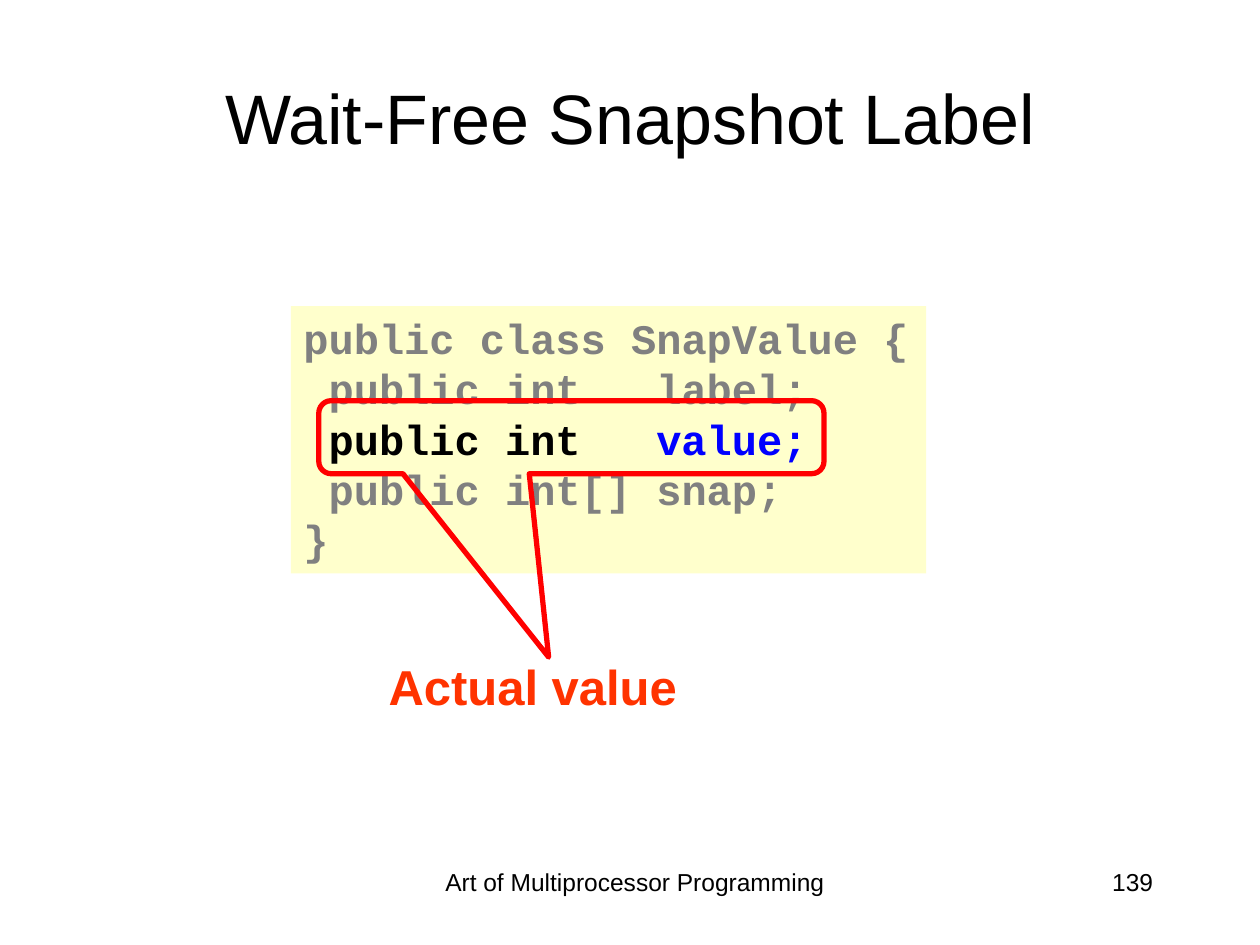
from pptx import Presentation
from pptx.dml.color import RGBColor
from pptx.enum.shapes import MSO_SHAPE
from pptx.enum.text import MSO_ANCHOR, PP_ALIGN
from pptx.util import Inches, Pt


def color(value):
    return RGBColor.from_string(value)


def add_run(paragraph, text, name, size, bold, font_color):
    run = paragraph.add_run()
    run.text = text
    font_format = {"name": name, "size": Pt(size), "bold": bold}
    for attribute, value in font_format.items():
        setattr(run.font, attribute, value)
    run.font.color.rgb = color(font_color)


presentation = Presentation()
presentation.slide_width = Inches(10)
presentation.slide_height = Inches(7.5)
slide = presentation.slides.add_slide(presentation.slide_layouts[6])

code_box = slide.shapes.add_shape(
    MSO_SHAPE.RECTANGLE, Inches(2.31), Inches(2.43), Inches(5.04), Inches(2.12)
)
code_box.shadow.inherit = False
code_box.fill.solid()
code_box.fill.fore_color.rgb = color("FFFFCC")
code_box.line.fill.background()
code_box.text_frame.word_wrap = False
code_box.text_frame.vertical_anchor = MSO_ANCHOR.TOP

GRAY, BLACK, BLUE = "808080", "000000", "0000FF"
code_lines = [
    [("public class SnapValue {", GRAY)],
    [(" public int   label;", GRAY)],
    [(" public int", BLACK), ("   value;", BLUE)],
    [(" public int[] snap;", GRAY)],
    [("}", GRAY)],
]
for index, code_line in enumerate(code_lines):
    frame = code_box.text_frame
    paragraph = frame.add_paragraph() if index else frame.paragraphs[0]
    paragraph.alignment = PP_ALIGN.LEFT
    for text, font_color in code_line:
        add_run(paragraph, text, "Courier New", 24, True, font_color)

callout = slide.shapes.add_shape(
    MSO_SHAPE.ROUNDED_RECTANGULAR_CALLOUT,
    Inches(2.53), Inches(3.18), Inches(4.01), Inches(0.58),
)
callout.shadow.inherit = False
callout.fill.background()
callout.line.color.rgb = color("FF0000")
callout.line.width = Pt(3)
for index, adjustment in enumerate([-0.045, 3.01, 0.17]):
    callout.adjustments[index] = adjustment

labels = [
    ("Wait-Free Snapshot Label", (0.5, 0.3, 9, 1.25), 40, False, BLACK,
     PP_ALIGN.CENTER, MSO_ANCHOR.MIDDLE, True),
    ("Actual value", (2.95, 5.16, 2.52, 0.57), 28, True, "FF3300",
     PP_ALIGN.RIGHT, MSO_ANCHOR.TOP, False),
    ("Art of Multiprocessor Programming", (3.33, 6.83, 3.42, 0.52), 14, False, BLACK,
     PP_ALIGN.CENTER, MSO_ANCHOR.TOP, True),
    ("139", (7.17, 6.83, 2.08, 0.5), 14, False, BLACK,
     PP_ALIGN.RIGHT, MSO_ANCHOR.TOP, True),
]
for text, position, size, bold, font_color, alignment, anchor, wrap in labels:
    label = slide.shapes.add_textbox(*[Inches(length) for length in position])
    frame_format = {"word_wrap": wrap, "vertical_anchor": anchor}
    for attribute, value in frame_format.items():
        setattr(label.text_frame, attribute, value)
    paragraph = label.text_frame.paragraphs[0]
    paragraph.alignment = alignment
    add_run(paragraph, text, "Arial", size, bold, font_color)

presentation.save("out.pptx")
